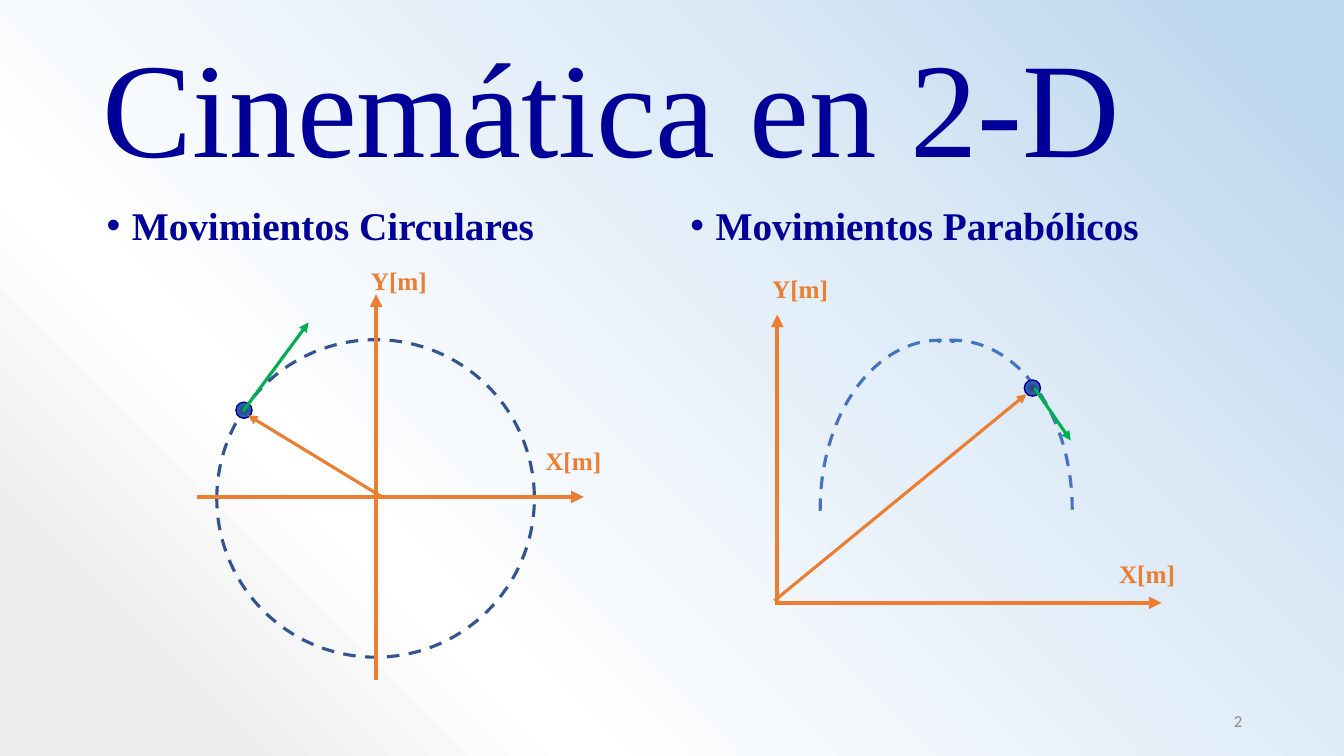
from lxml.etree import SubElement
from pptx import Presentation
from pptx.dml.color import RGBColor
from pptx.enum.dml import MSO_LINE
from pptx.enum.shapes import MSO_CONNECTOR, MSO_SHAPE
from pptx.enum.text import MSO_ANCHOR, MSO_AUTO_SIZE, PP_ALIGN
from pptx.oxml.ns import qn
from pptx.util import Inches, Pt

COLORS = {
    "navy": "000099", "orange": "ED7D31", "green": "00B050", "gray": "8C8C8C",
    "circle": "325491", "parabola": "4472C4",
}
BACKGROUND_STOPS = {6: "BDD7EE", 34: "DEEBF7", 72: "FFFFFF", 89: "EDEDED"}
BALL_STOPS = {0: "23427A", 50: "315EAD", 100: "3A6FCE"}


def set_radial_gradient(fill, element, stops, focus):
    fill.gradient()
    gradient = next(element.iter(qn("a:gradFill")))
    for child in list(gradient):
        gradient.remove(child)
    stop_list = SubElement(gradient, qn("a:gsLst"))
    for position, color in stops.items():
        stop = SubElement(stop_list, qn("a:gs"), pos=str(position * 1000))
        SubElement(stop, qn("a:srgbClr"), val=color)
    circle_path = SubElement(gradient, qn("a:path"), path="circle")
    edges = {edge: str(value * 1000) for edge, value in zip("ltrb", focus)}
    SubElement(circle_path, qn("a:fillToRect"), **edges)


def add_text(text, box, font_format, frame_format, paragraph_format):
    text_box = slide.shapes.add_textbox(*map(Inches, box))
    frame = text_box.text_frame
    frame.word_wrap = True
    for name, value in frame_format.items():
        setattr(frame, name, value)
    paragraph = frame.paragraphs[0]
    for name, value in paragraph_format.items():
        setattr(paragraph, name, value)
    run = paragraph.add_run()
    run.text = text
    for name, value in font_format.items():
        if name == "color":
            run.font.color.rgb = RGBColor.from_string(COLORS[value])
        else:
            setattr(run.font, name, value)
    return paragraph


presentation = Presentation()
presentation.slide_width = Inches(13.33)
presentation.slide_height = Inches(7.5)
slide = presentation.slides.add_slide(presentation.slide_layouts[6])
set_radial_gradient(slide.background.fill, slide.element, BACKGROUND_STOPS, (100, 0, 0, 100))

serif = {"name": "Times New Roman", "color": "navy"}
middle = {"vertical_anchor": MSO_ANCHOR.MIDDLE}
add_text("Cinemática en 2-D", (0.92, 0.4, 11.5, 1.45),
         {**serif, "size": Pt(96.3)}, middle, {"line_spacing": 0.9})

for heading, left in (("Movimientos Circulares", 0.96), ("Movimientos Parabólicos", 6.75)):
    paragraph = add_text(heading, (left, 2, 5.67, 4.76),
                         {**serif, "size": Pt(28), "bold": True}, {}, {"line_spacing": 0.9})
    properties = paragraph._p.get_or_add_pPr()
    properties.set("marL", str(Inches(0.25)))
    properties.set("indent", str(Inches(-0.25)))
    SubElement(properties, qn("a:buFont"), typeface="Arial")
    SubElement(properties, qn("a:buChar"), char="•")

add_text("2", (9.42, 6.95, 3, 0.4),
         {"name": "Calibri", "size": Pt(12), "color": "gray"}, middle,
         {"alignment": PP_ALIGN.RIGHT})

curves = (
    (MSO_SHAPE.OVAL, (2.15, 3.37, 3.15, 3.15), "circle", 0, ()),
    (MSO_SHAPE.ARC, (7.64, 3.87, 3.35, 2.36), "parabola", 270, (161.5, 3.14)),
    (MSO_SHAPE.ARC, (7.78, 3.87, 3.35, 2.36), "parabola", 90, (161.85, 3.14)),
)
for kind, box, color, rotation, angles in curves:
    curve = slide.shapes.add_shape(kind, *map(Inches, box))
    curve.shadow.inherit = False
    curve.fill.background()
    curve.line.color.rgb = RGBColor.from_string(COLORS[color])
    curve.line.width = Pt(2.25)
    curve.line.dash_style = MSO_LINE.DASH
    curve.rotation = rotation
    for index, angle in enumerate(angles):
        curve.adjustments[index] = angle
    if rotation == 90:
        curve.element.spPr.find(qn("a:xfrm")).set("flipH", "1")

axis_labels = (("X[m]", 11, 5.49), ("X[m]", 5.31, 4.37), ("Y[m]", 7.56, 2.66), ("Y[m]", 3.58, 2.58))
for label, left, top in axis_labels:
    add_text(label, (left, top, 0.82, 0.4),
             {**serif, "size": Pt(18), "bold": True, "color": "orange"},
             {"auto_size": MSO_AUTO_SIZE.SHAPE_TO_FIT_TEXT}, {})

for left, top in ((2.34, 3.99), (10.16, 3.77)):
    ball = slide.shapes.add_shape(MSO_SHAPE.OVAL, Inches(left), Inches(top), Inches(0.16), Inches(0.16))
    ball.shadow.inherit = False
    set_radial_gradient(ball.fill, ball.element, BALL_STOPS, (50, 50, 50, 50))
    ball.line.color.rgb = RGBColor.from_string(COLORS["navy"])
    ball.line.width = Pt(1)

arrows = (
    ((1.95, 4.93), (5.79, 4.93), "orange", 3),
    ((3.73, 6.75), (3.73, 2.92), "orange", 3),
    ((7.71, 6), (7.71, 3.12), "orange", 3),
    ((7.69, 5.98), (11.52, 5.98), "orange", 3),
    ((3.79, 4.93), (2.46, 4.12), "orange", 2.25),
    ((7.68, 5.96), (10.18, 3.91), "orange", 2.25),
    ((10.26, 3.85), (10.62, 4.37), "green", 2.25),
    ((2.41, 4.08), (3.06, 3.2), "green", 2.25),
)
for start, end, color, width in arrows:
    arrow = slide.shapes.add_connector(MSO_CONNECTOR.STRAIGHT, *map(Inches, start + end))
    arrow.line.color.rgb = RGBColor.from_string(COLORS[color])
    arrow.line.width = Pt(width)
    SubElement(arrow.element.spPr.find(qn("a:ln")), qn("a:tailEnd"), type="triangle")
    SubElement(arrow.element.spPr, qn("a:effectLst"))

presentation.save("out.pptx")
